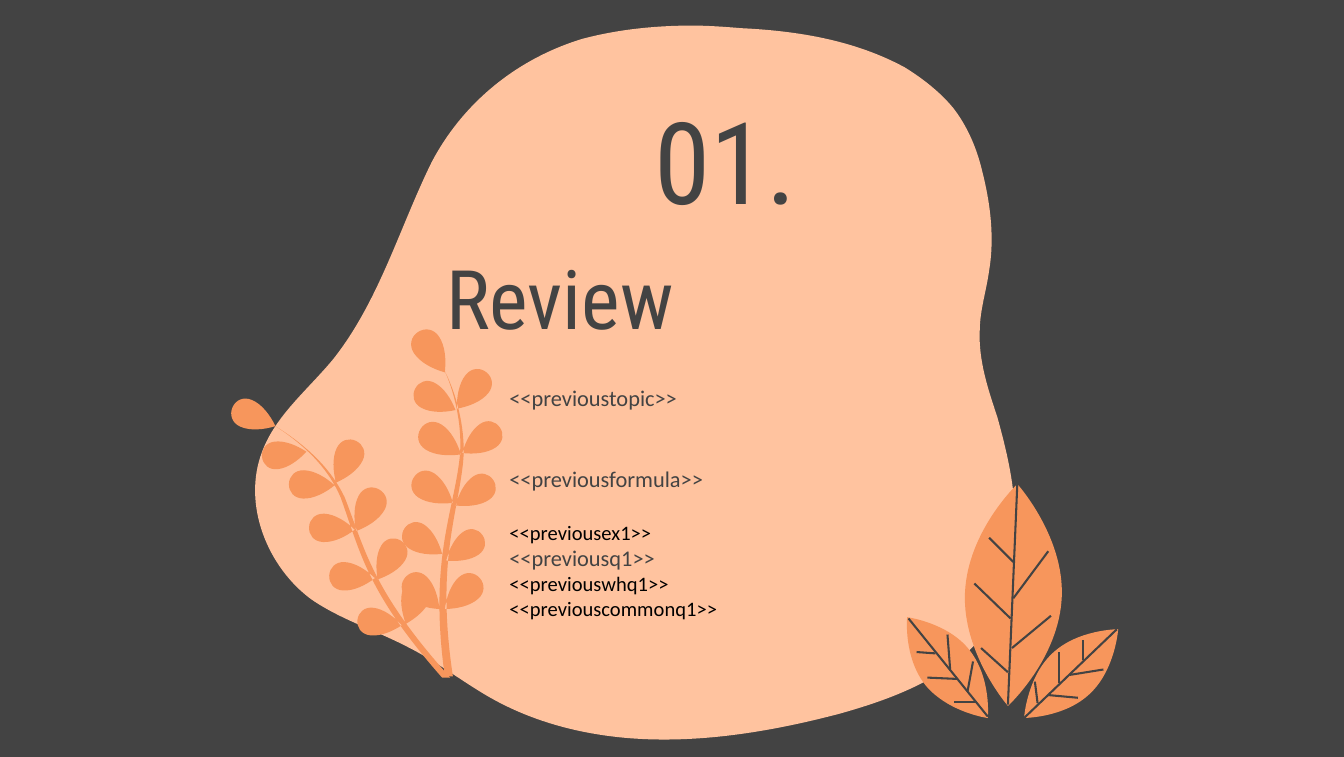
from dataclasses import dataclass

from pptx import Presentation
from pptx.dml.color import RGBColor
from pptx.enum.text import MSO_ANCHOR, MSO_AUTO_SIZE, PP_ALIGN
from pptx.oxml.ns import qn
from pptx.util import Inches, Pt


@dataclass(frozen=True)
class Theme:
    """Colours, fonts and type sizes of the slide."""
    dark: str = "434343"
    peach: str = "FFC39F"
    orange: str = "F7965C"
    black: str = "000000"
    heading_font: str = "Roboto Condensed"
    body_font: str = "Calibri"
    number_size: int = 61
    title_size: int = 44
    body_size: int = 12
    small_size: int = 11
    vein_width: float = 1.1


THEME = Theme()

BLOB = [
    (5.15, 0.19),
    (4.87, 0.19, 4.59, 0.22, 4.33, 0.29), (3.84, 0.44, 3.44, 0.77, 3.21, 1.21),
    (2.97, 1.7, 2.82, 2.24, 2.48, 2.67), (2.29, 2.9, 2.05, 3.09, 1.95, 3.36),
    (1.8, 3.75, 1.99, 4.22, 2.32, 4.46), (2.54, 4.61, 2.8, 4.69, 3.03, 4.81),
    (3.25, 4.92, 3.44, 5.07, 3.65, 5.19), (4.04, 5.41, 4.49, 5.5, 4.94, 5.5),
    (5.38, 5.5, 5.82, 5.42, 6.24, 5.31), (6.67, 5.19, 7.12, 5.02, 7.37, 4.65),
    (7.55, 4.36, 7.59, 4.02, 7.54, 3.67), (7.52, 3.48, 7.47, 3.28, 7.42, 3.1),
    (7.35, 2.89, 7.28, 2.68, 7.29, 2.46), (7.29, 2.31, 7.34, 2.16, 7.36, 2.01),
    (7.4, 1.77, 7.37, 1.52, 7.31, 1.28), (7.27, 1.11, 7.2, 0.94, 7.09, 0.8),
    (6.99, 0.68, 6.86, 0.58, 6.73, 0.5), (6.36, 0.3, 5.94, 0.23, 5.52, 0.21),
    (5.4, 0.2, 5.27, 0.19, 5.15, 0.19)]

SPRIGS = [
    ([(3.31, 2.76), (3.4, 2.95), (3.46, 3.22), (3.43, 3.45),
      (3.38, 3.85), (3.22, 4.2), (3.34, 5.03)],
     [(3.31, 2.77, 3.11, 2.47), (3.39, 3.05, 3.09, 2.89), (3.43, 3.38, 3.13, 3.19),
      (3.37, 3.74, 3.08, 3.55), (3.29, 4.12, 3.01, 3.93), (3.27, 4.53, 3.02, 4.29),
      (3.4, 3.04, 3.62, 2.77), (3.44, 3.37, 3.72, 3.18), (3.39, 3.76, 3.67, 3.57),
      (3.32, 4.17, 3.59, 3.98), (3.31, 4.53, 3.57, 4.3)]),
    ([(2.05, 3.17), (2.3, 3.33), (2.46, 3.5), (2.55, 3.7),
      (2.7, 4.1), (2.75, 4.4), (3.32, 5.04)],
     [(2.05, 3.17, 1.73, 3.03), (2.28, 3.36, 1.95, 3.4), (2.49, 3.61, 2.15, 3.6),
      (2.64, 3.94, 2.3, 3.92), (2.79, 4.3, 2.45, 4.28), (2.99, 4.65, 2.66, 4.61),
      (2.5, 3.59, 2.65, 3.28), (2.65, 3.95, 2.82, 3.64), (2.81, 4.31, 2.98, 4.02),
      (3.02, 4.64, 3.14, 4.31)]),
]

LEAVES = [
    [(7.57, 3.6), (7.57, 3.6, 7.2, 3.95, 7.18, 4.41), (7.16, 4.86, 7.5, 5.25, 7.5, 5.25),
     (7.5, 5.25, 7.88, 4.9, 7.9, 4.44), (7.92, 3.99, 7.57, 3.6, 7.57, 3.6)],
    [(6.75, 4.59), (6.75, 4.59, 6.72, 4.89, 6.89, 5.1), (7.06, 5.3, 7.35, 5.34, 7.35, 5.34),
     (7.35, 5.34, 7.38, 5.04, 7.21, 4.83), (7.05, 4.63, 6.75, 4.59, 6.75, 4.59)],
    [(8.32, 4.68), (8.32, 4.68, 8.02, 4.68, 7.83, 4.86), (7.64, 5.04, 7.62, 5.34, 7.62, 5.34),
     (7.62, 5.34, 7.92, 5.34, 8.11, 5.16), (8.3, 4.98, 8.32, 4.68, 8.32, 4.68)],
]

VEINS = [
    [(7.57, 3.6, 7.5, 5.24), (7.54, 4.18, 7.36, 4), (7.52, 4.6, 7.25, 4.34),
     (7.5, 5, 7.3, 4.82), (7.53, 4.82, 7.82, 4.58), (7.54, 4.45, 7.8, 4.1)],
    [(6.76, 4.6, 7.35, 5.33), (6.96, 4.86, 6.82, 4.85), (7.12, 5.05, 6.9, 5.04),
     (7.26, 5.22, 7.1, 5.22), (7.2, 5.14, 7.24, 4.92), (7.07, 4.98, 7.05, 4.72)],
    [(8.31, 4.68, 7.62, 5.34), (8.06, 4.91, 8.06, 4.76), (7.88, 5.08, 7.88, 4.85),
     (7.72, 5.23, 7.7, 5.07), (7.8, 5.17, 8.02, 5.19), (7.96, 5.02, 8.21, 4.98)],
]

LINES = [
    ("<<previoustopic>>", THEME.body_size, THEME.dark, 0),
    ("<<previousformula>>", THEME.body_size, THEME.dark, 29),
    ("<<previousex1>>", THEME.small_size, THEME.black, 14.5),
    ("<<previousq1>>", THEME.body_size, THEME.dark, 0),
    ("<<previouswhq1>>", THEME.small_size, THEME.black, 0),
    ("<<previouscommonq1>>", THEME.small_size, THEME.black, 0),
]


def join_curves(points):
    """Group points after the first into cubic curves."""
    return [sum(points[i:i + 3], ()) for i in range(1, len(points), 3)]


def leaflet_contour(tip_x, tip_y, end_x, end_y):
    """Return a teardrop that runs from its tip to its round end."""
    along_x, along_y = end_x - tip_x, end_y - tip_y
    profile = [(0, 0), (0.2, 0.17), (0.45, 0.31), (0.68, 0.31), (0.88, 0.31), (1, 0.17), (1, 0)]
    profile += [(along, -across) for along, across in profile[-2::-1]]
    points = [(tip_x + along * along_x - across * along_y,
               tip_y + along * along_y + across * along_x) for along, across in profile]
    return points[:1] + join_curves(points)


def stem_contour(points, half_width=0.03):
    """Return the outline of a stem that widens towards its foot."""
    step = half_width / (len(points) - 1)
    left = [(x - step * i, y) for i, (x, y) in enumerate(points)]
    right = [(x + step * i, y) for i, (x, y) in enumerate(points)][::-1]
    return left[:1] + join_curves(left) + right[:1] + join_curves(right)


def bend_segments(shape, segments):
    """Turn the straight segments that have control points into curves."""
    lines = list(shape._element.iter(qn("a:lnTo")))
    for line, segment in zip(lines, segments):
        if len(segment) == 6:
            curve = line.makeelement(qn("a:cubicBezTo"), {})
            for x, y in zip(segment[::2], segment[1::2]):
                point = curve.makeelement(qn("a:pt"), {})
                point.set("x", str(Inches(x) - shape.left))
                point.set("y", str(Inches(y) - shape.top))
                curve.append(point)
            line.getparent().replace(line, curve)


def add_outline(slide, contours, fill=None, line=None):
    """Draw contours as one freeform, either filled or stroked."""
    builder = slide.shapes.build_freeform(*map(Inches, contours[0][0]), scale=1.0)
    for index, contour in enumerate(contours):
        if index:
            builder.move_to(*map(Inches, contour[0]))
        ends = [tuple(map(Inches, segment[-2:])) for segment in contour[1:]]
        builder.add_line_segments(ends, close=fill is not None)
    shape = builder.convert_to_shape()
    bend_segments(shape, [segment for contour in contours for segment in contour[1:]])
    shape.shadow.inherit = False
    if fill:
        shape.fill.solid()
        shape.fill.fore_color.rgb = RGBColor.from_string(fill)
        shape.line.fill.background()
    else:
        shape.fill.background()
        shape.line.color.rgb = RGBColor.from_string(line)
        shape.line.width = Pt(THEME.vein_width)


def format_paragraph(paragraph, size, font, color, align=PP_ALIGN.LEFT, before=0):
    """Set the spacing of a paragraph and the look of its runs."""
    paragraph.alignment = align
    paragraph.space_before = Pt(before)
    for run in paragraph.runs:
        run.font.size = Pt(size)
        run.font.name = font
        run.font.color.rgb = RGBColor.from_string(color)


def place_text(slide, shape, box, anchor):
    """Bring a text shape to the front, place it and clear its margins."""
    slide.shapes._spTree.append(shape._element)
    shape.left, shape.top, shape.width, shape.height = map(Inches, box)
    frame = shape.text_frame
    frame.margin_left = frame.margin_right = frame.margin_top = frame.margin_bottom = 0
    frame.word_wrap = True
    frame.auto_size = MSO_AUTO_SIZE.NONE
    frame.vertical_anchor = anchor
    return frame


def add_heading(slide, shape, text, box, size, align):
    """Write a one-line heading in a text shape."""
    frame = place_text(slide, shape, box, MSO_ANCHOR.BOTTOM)
    frame.text = text
    format_paragraph(frame.paragraphs[0], size, THEME.heading_font, THEME.dark, align)


def add_review_list(slide, shape, box):
    """Write the review lines without bullets."""
    frame = place_text(slide, shape, box, MSO_ANCHOR.TOP)
    frame.text = "\n".join(line[0] for line in LINES)
    for paragraph, (_, size, color, before) in zip(frame.paragraphs, LINES):
        format_paragraph(paragraph, size, THEME.body_font, color, before=before)
        properties = paragraph._p.get_or_add_pPr()
        properties.set("marL", "0")
        properties.set("indent", "0")
        properties.append(properties.makeelement(qn("a:buNone"), {}))


def main():
    """Build the section slide and save it."""
    presentation = Presentation()
    presentation.slide_width, presentation.slide_height = Inches(10), Inches(5.63)
    slide = presentation.slides.add_slide(presentation.slide_layouts[1])
    slide.background.fill.solid()
    slide.background.fill.fore_color.rgb = RGBColor.from_string(THEME.dark)
    title, review = slide.shapes.title, slide.placeholders[1]
    add_outline(slide, [BLOB], fill=THEME.peach)
    for stem, leaflets in SPRIGS:
        contours = [stem_contour(stem)] + [leaflet_contour(*leaflet) for leaflet in leaflets]
        add_outline(slide, contours, fill=THEME.orange)
    add_heading(slide, title, "Review", (3.32, 1.9, 4.2, 0.67), THEME.title_size, PP_ALIGN.LEFT)
    add_review_list(slide, review, (3.79, 2.86, 3.71, 1.76))
    number = slide.shapes.add_textbox(0, 0, 0, 0)
    add_heading(slide, number, "01.", (3.31, 0.56, 2.62, 1.13), THEME.number_size, PP_ALIGN.RIGHT)
    for leaf in LEAVES:
        add_outline(slide, [leaf], fill=THEME.orange)
    for veins in VEINS:
        add_outline(slide, [[vein[:2], vein[2:]] for vein in veins], line=THEME.dark)
    presentation.save("out.pptx")


main()
